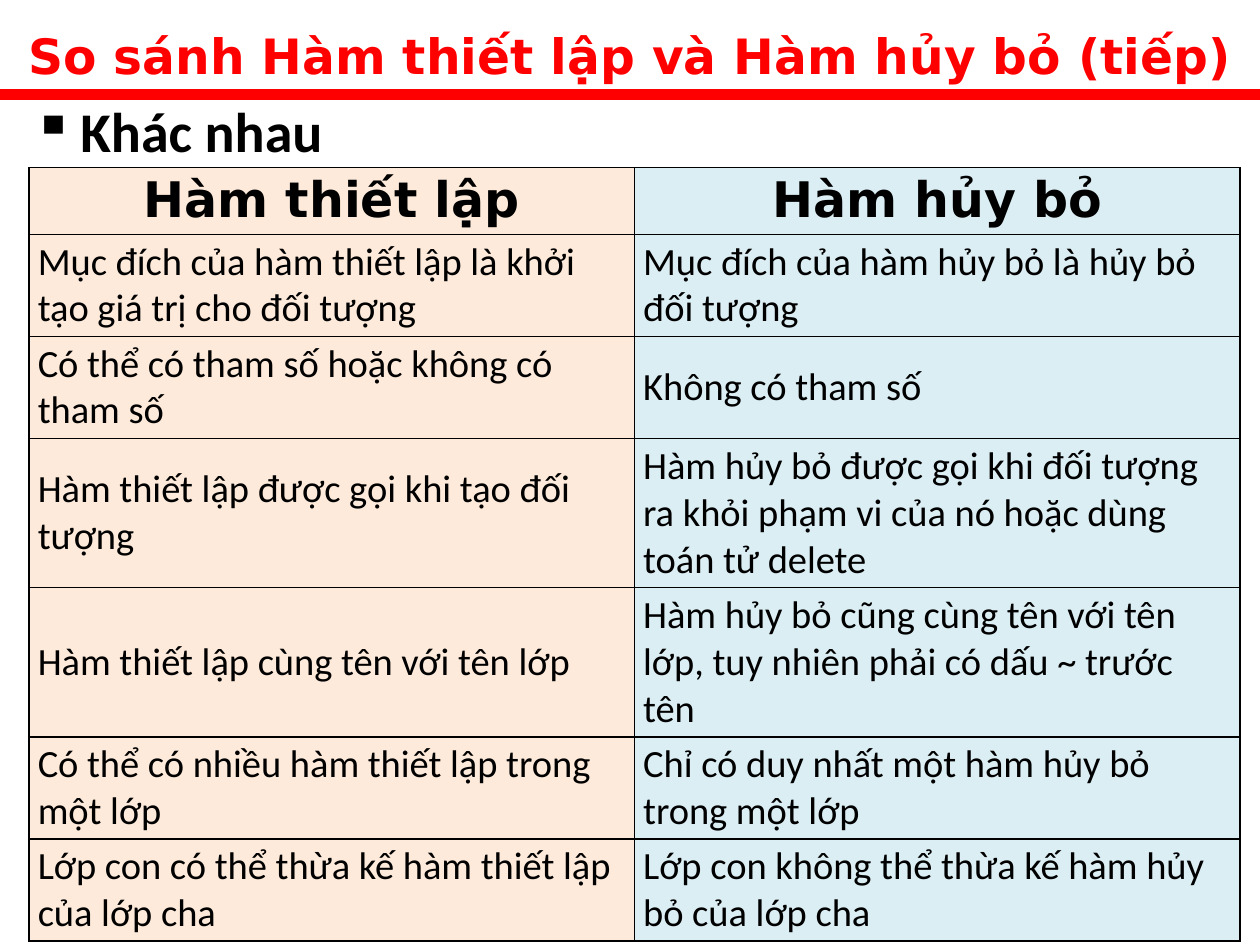
import pptx
import pptx.util
import pptx.dml.color
import pptx.enum.shapes
import pptx.enum.text
import pptx.oxml
import pptx.oxml.ns
from collections import namedtuple
from dataclasses import dataclass
from lxml import etree

Inches, Pt = pptx.util.Inches, pptx.util.Pt
PP_ALIGN, ANCHOR = pptx.enum.text.PP_ALIGN, pptx.enum.text.MSO_ANCHOR
qn = pptx.oxml.ns.qn
Box = namedtuple("Box", "left top width height")


@dataclass(frozen=True)
class Theme:
    red: str = "FF0000"
    black: str = "000000"
    columns: tuple = ("FDEADA", "DBEEF4")
    heading_font: str = "DejaVu Sans"
    body_font: str = "Calibri"
    title_size: float = 27.8
    topic_size: float = 32
    header_size: float = 28
    cell_size: float = 22
    rule_width: float = 6
    border_width: float = 1


THEME = Theme()
SLIDE_WIDTH, SLIDE_HEIGHT = 10, 7.5
HEADER_HEIGHT, LINE_HEIGHT, CELL_PADDING = 0.53, 0.375, 0.06

HEADERS = ("Hàm thiết lập", "Hàm hủy bỏ")
# Each row: number of text lines, constructor text, destructor text
DIFFERENCES = (
    (2, "Mục đích của hàm thiết lập là khởi tạo giá trị cho đối tượng",
     "Mục đích của hàm hủy bỏ là hủy bỏ đối tượng"),
    (2, "Có thể có tham số hoặc không có\ntham số", "Không có tham số"),
    (3, "Hàm thiết lập được gọi khi tạo đối tượng",
     "Hàm hủy bỏ được gọi khi đối tượng ra khỏi phạm vi của nó hoặc dùng toán tử delete"),
    (3, "Hàm thiết lập cùng tên với tên lớp",
     "Hàm hủy bỏ cũng cùng tên với tên lớp, tuy nhiên phải có dấu ~ trước tên"),
    (2, "Có thể có nhiều hàm thiết lập trong một lớp",
     "Chỉ có duy nhất một hàm hủy bỏ trong một lớp"),
    (2, "Lớp con có thể thừa kế hàm thiết lập của lớp cha",
     "Lớp con không thể thừa kế hàm hủy bỏ của lớp cha"),
)


def color(value):
    return pptx.dml.color.RGBColor.from_string(value)


def set_font(paragraph, name, size, ink, bold):
    font = paragraph.font
    font.name, font.size, font.bold = name, Pt(size), bold
    font.color.rgb = color(ink)


def add_text(slide, box, text, anchor):
    frame = slide.shapes.add_textbox(*map(Inches, box)).text_frame
    frame.word_wrap = True
    frame.vertical_anchor = anchor
    frame.text = text
    return frame.paragraphs[0]


def set_hanging(paragraph, indent):
    properties = paragraph._p.get_or_add_pPr()
    properties.set("marL", str(Inches(indent)))
    properties.set("indent", str(-Inches(indent)))
    return properties


def add_title(slide, box):
    title = add_text(slide, box, "So sánh Hàm thiết lập và Hàm hủy bỏ (tiếp)", ANCHOR.MIDDLE)
    title.alignment = PP_ALIGN.CENTER
    title.space_before = title.space_after = Pt(6)
    set_font(title, THEME.heading_font, THEME.title_size, THEME.red, True)


def add_rule(slide, box):
    rule = slide.shapes.add_connector(
        pptx.enum.shapes.MSO_CONNECTOR.STRAIGHT, Inches(box.left), Inches(box.top),
        Inches(box.left + box.width), Inches(box.top + box.height))
    rule.line.color.rgb = color(THEME.red)
    rule.line.width = Pt(THEME.rule_width)
    etree.SubElement(rule._element.spPr, qn("a:effectLst"))


def add_topic(slide, box):
    topic = add_text(slide, box, "Khác nhau", ANCHOR.TOP)
    topic.line_spacing = 0.9
    set_font(topic, THEME.body_font, THEME.topic_size, THEME.black, True)
    properties = set_hanging(topic, 0.38)
    bullet = pptx.oxml.parse_xml(f'<a:buChar {pptx.oxml.ns.nsdecls("a")} char="▪"/>')
    properties.find(qn("a:defRPr")).addprevious(bullet)


def add_borders(cell):
    properties = cell._tc.get_or_add_tcPr()
    for position, side in enumerate(("lnL", "lnR", "lnT", "lnB")):
        properties.insert(position, pptx.oxml.parse_xml(
            f'<a:{side} {pptx.oxml.ns.nsdecls("a")} w="{Pt(THEME.border_width)}">'
            f'<a:solidFill><a:srgbClr val="{THEME.black}"/></a:solidFill></a:{side}>'))


def fill_cell(cell, text, fill, is_header):
    cell.text = text
    cell.vertical_anchor = ANCHOR.MIDDLE
    cell.margin_left = cell.margin_right = Inches(0.07)
    cell.margin_top = cell.margin_bottom = Inches(CELL_PADDING / 2)
    cell.fill.solid()
    cell.fill.fore_color.rgb = color(fill)
    add_borders(cell)
    paragraphs = cell.text_frame.paragraphs
    for paragraph in paragraphs:
        if is_header:
            paragraph.alignment = PP_ALIGN.CENTER
            set_font(paragraph, THEME.heading_font, THEME.header_size, THEME.black, True)
        else:
            set_font(paragraph, THEME.body_font, THEME.cell_size, THEME.black, False)
        if len(paragraphs) > 1:
            paragraph.level = 1
            set_hanging(paragraph, 0.18)


def add_comparison(slide, box):
    rows = [HEADERS] + [texts for _, *texts in DIFFERENCES]
    heights = [HEADER_HEIGHT] + [lines * LINE_HEIGHT + CELL_PADDING for lines, *_ in DIFFERENCES]
    table = slide.shapes.add_table(len(rows), len(HEADERS), *map(Inches, box)).table
    for column in table.columns:
        column.width = Inches(box.width / len(HEADERS))
    for index, (texts, height) in enumerate(zip(rows, heights)):
        table.rows[index].height = Inches(height)
        for column, (text, fill) in enumerate(zip(texts, THEME.columns)):
            fill_cell(table.cell(index, column), text, fill, index == 0)


def build_slide(presentation):
    slide = presentation.slides.add_slide(presentation.slide_layouts[6])
    # Heading band
    add_title(slide, Box(0, 0.08, SLIDE_WIDTH, 0.71))
    add_rule(slide, Box(0, SLIDE_HEIGHT / 10, SLIDE_WIDTH, 0))
    # Topic and comparison table
    add_topic(slide, Box(0.16, 0.78, 9.61, 0.55))
    add_comparison(slide, Box(0.23, 1.33, 9.61, 6.08))


presentation = pptx.Presentation()
presentation.slide_width = Inches(SLIDE_WIDTH)
presentation.slide_height = Inches(SLIDE_HEIGHT)
build_slide(presentation)
presentation.save("out.pptx")
